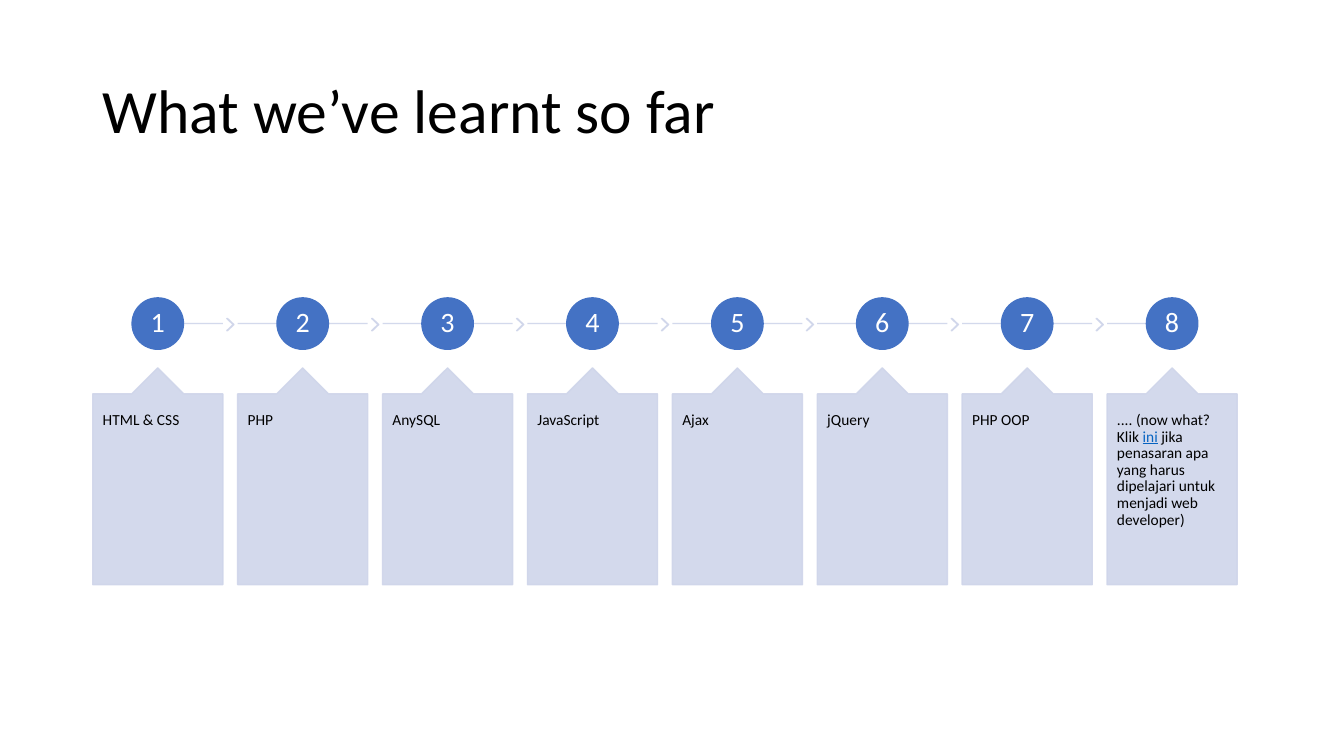
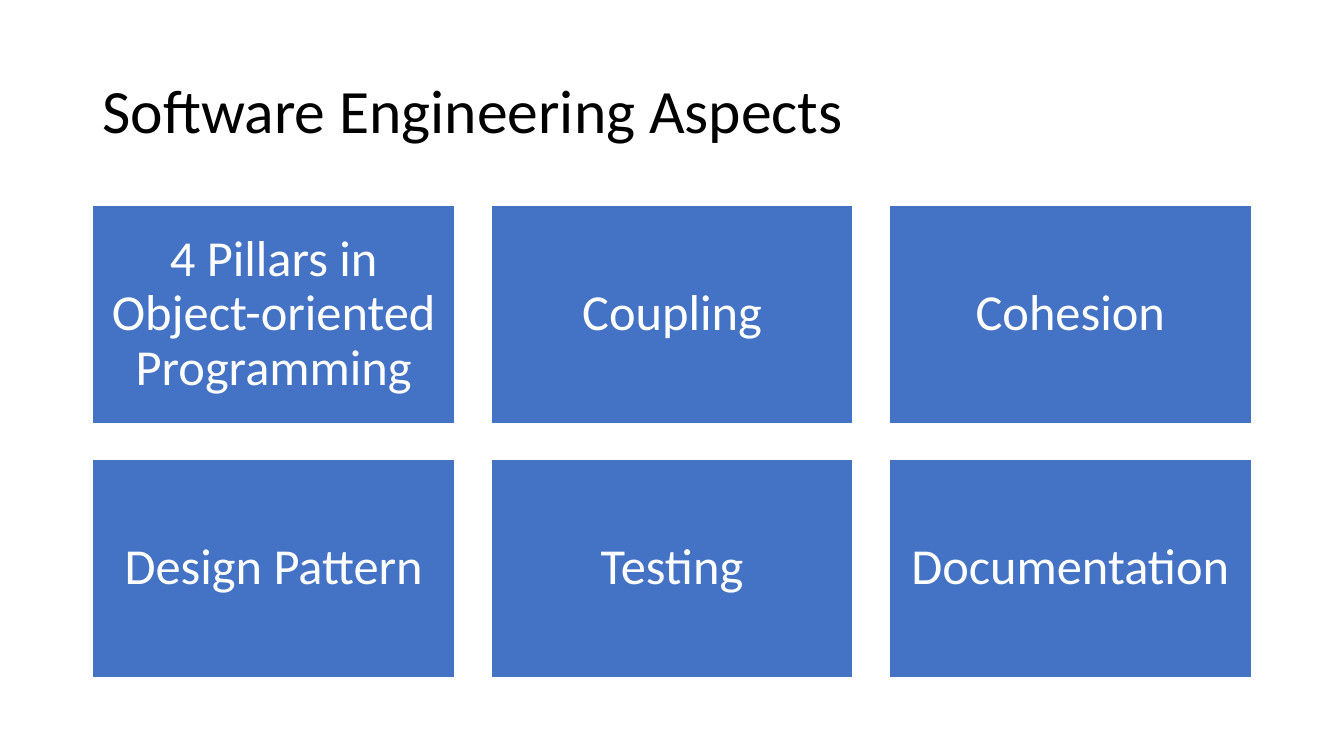
from lxml import etree
from pptx import Presentation
from pptx.dml.color import RGBColor
from pptx.enum import shapes, text
from pptx.oxml import ns
from pptx.util import Inches, Pt

BLUE, PALE, WHITE, BLACK, LINK = "4472C4", "CFD5EA", "FFFFFF", "000000", "0563C1"
FONT = "Calibri"
SHAPE = shapes.MSO_SHAPE
LEFT = 0.92


def paint(part, line, fill=None, opacity=100):
    """Colour a shape or connector, without shadow, at the given opacity."""
    if fill:
        part.shadow.inherit = False
        part.fill.solid()
        part.fill.fore_color.rgb = RGBColor.from_string(fill)
    else:
        etree.SubElement(part._element.spPr, ns.qn("a:effectLst"))
    part.line.color.rgb = RGBColor.from_string(line)
    part.line.width = Pt(1)
    if opacity < 100:
        for colour in part._element.spPr.iter(ns.qn("a:srgbClr")):
            etree.SubElement(colour, ns.qn("a:alpha"), val=str(opacity * 1000))


def write(part, runs, size, colour, align="CENTER", anchor="MIDDLE", inset=(0.1, 0.05)):
    """Fill a shape with one paragraph; a run is (words, format changes)."""
    frame = part.text_frame
    side, end = (Inches(length) for length in inset)
    layout = {"word_wrap": True, "vertical_anchor": text.MSO_ANCHOR[anchor],
              "margin_left": side, "margin_right": side,
              "margin_top": end, "margin_bottom": end}
    for name, value in layout.items():
        setattr(frame, name, value)
    paragraph = frame.paragraphs[0]
    paragraph.alignment = text.PP_ALIGN[align]
    paragraph.line_spacing = 0.9
    for words, changes in runs:
        run = paragraph.add_run()
        run.text = words
        style = {"name": FONT, "size": Pt(size), "color": colour, **changes}
        run.font.color.rgb = RGBColor.from_string(style.pop("color"))
        for name, value in style.items():
            setattr(run.font, name, value)


deck = Presentation()
deck.slide_width, deck.slide_height = Inches(13.33), Inches(7.5)

slides = []
for heading in ("What we’ve learnt so far", "Software Engineering Aspects"):
    slide = deck.slides.add_slide(deck.slide_layouts[6])
    title = slide.shapes.add_textbox(Inches(LEFT), Inches(0.4), Inches(11.5), Inches(1.45))
    write(title, [(heading, {})], 44, BLACK, align="LEFT")
    slides.append(slide.shapes)
timeline, aspects = slides

# Numbered timeline of topics
topics = [[(name, {})] for name in
          ("HTML & CSS", "PHP", "AnySQL", "JavaScript", "Ajax", "jQuery", "PHP OOP")]
topics.append([
    (".... (now what? Klik ", {}),
    ("ini", {"color": LINK, "underline": True}),
    (" jika penasaran apa yang harus dipelajari untuk menjadi web developer)", {}),
])
last = len(topics) - 1
step = (10.98 - LEFT) / last
card_width, circle, axis = 1.29, 0.51, 3.21

for index, topic in enumerate(topics):
    left = LEFT + index * step
    middle = left + card_width / 2
    line_start = left if index else left + 0.72
    line_end = left + card_width if index < last else middle
    track = timeline.add_connector(shapes.MSO_CONNECTOR.STRAIGHT, Inches(line_start),
                                   Inches(axis), Inches(line_end), Inches(axis))
    paint(track, PALE, opacity=90)

    if index < last:
        arrow = timeline.add_shape(SHAPE.CHEVRON, Inches(left + 1.33), Inches(3.16),
                                   Inches(0.07), Inches(0.12))
        arrow.adjustments[0] = 0.9
        paint(arrow, PALE, PALE, 90)

    number = timeline.add_shape(SHAPE.OVAL, Inches(middle - circle / 2),
                                Inches(axis - circle / 2), Inches(circle), Inches(circle))
    paint(number, BLUE, BLUE)
    write(number, [(str(index + 1), {})], 20, WHITE, inset=(0.02, 0.02))

    card = timeline.add_shape(SHAPE.UP_ARROW_CALLOUT, Inches(left), Inches(3.65),
                              Inches(card_width), Inches(2.15))
    for position, value in enumerate((0.5, 0.2, 0.2, 1)):
        card.adjustments[position] = value
    paint(card, PALE, PALE, 90)
    write(card, topic, 11, BLACK, align="LEFT", anchor="TOP", inset=(0.1, 0.18))

# Grid of aspects
names = ("4 Pillars in Object-oriented Programming", "Coupling", "Cohesion",
         "Design Pattern", "Testing", "Documentation")
tile_width, tile_height, gap = 3.59, 2.16, 0.36
for index, name in enumerate(names):
    row, column = divmod(index, 3)
    tile = aspects.add_shape(SHAPE.RECTANGLE, Inches(LEFT + column * (tile_width + gap)),
                             Inches(2.04 + row * (tile_height + gap)),
                             Inches(tile_width), Inches(tile_height))
    paint(tile, WHITE, BLUE)
    write(tile, [(name, {})], 36, WHITE, inset=(0.15, 0.15))

deck.save("out.pptx")
